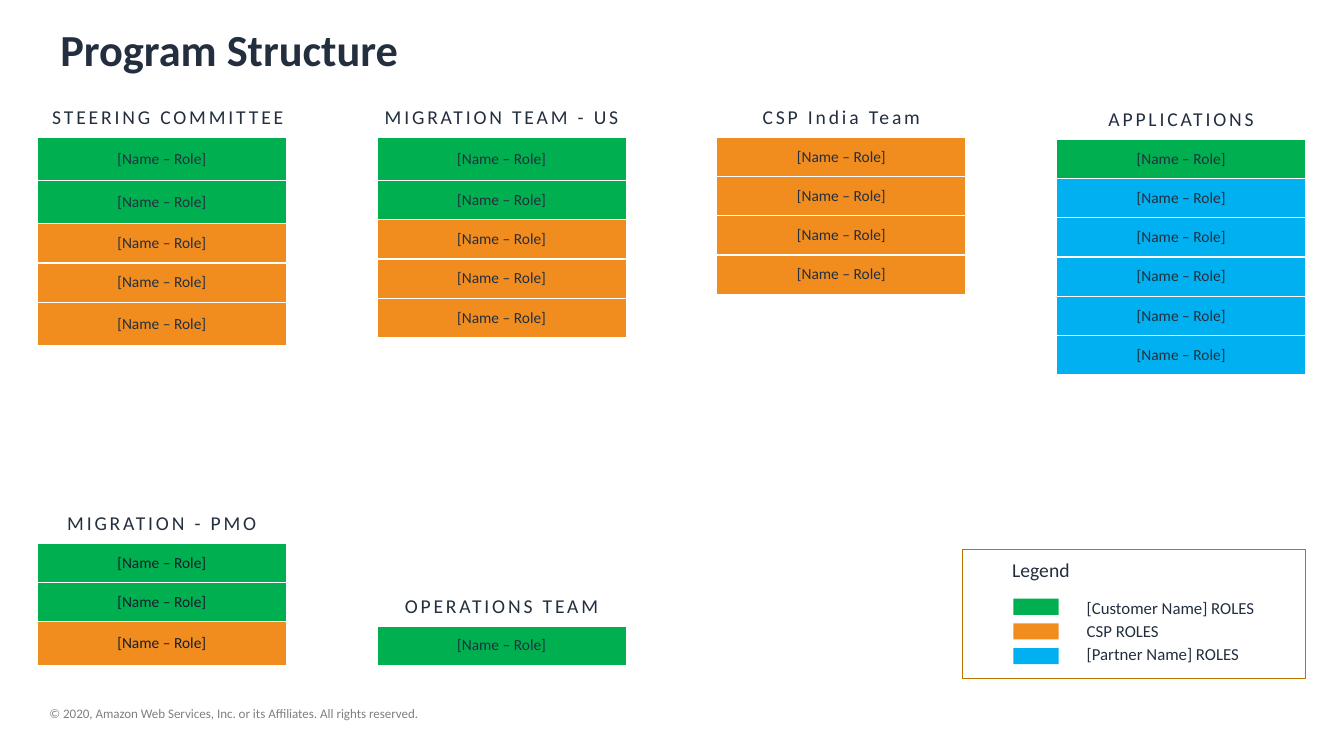
from lxml import etree
from pptx import Presentation
from pptx.dml.color import RGBColor
from pptx.enum.shapes import MSO_SHAPE
from pptx.enum.text import MSO_ANCHOR, PP_ALIGN
from pptx.oxml.ns import qn
from pptx.util import Inches, Pt

RECTANGLE = MSO_SHAPE.RECTANGLE
MIDDLE = MSO_ANCHOR.MIDDLE
LEFT, CENTER = PP_ALIGN.LEFT, PP_ALIGN.CENTER

INK = RGBColor(0x23, 0x2F, 0x3E)
DARK_INK = RGBColor(0x16, 0x1E, 0x2C)
GRAY = RGBColor(0x80, 0x80, 0x80)
GREEN = RGBColor(0x00, 0xB0, 0x50)
ORANGE = RGBColor(0xF1, 0x8C, 0x1E)
BLUE = RGBColor(0x00, 0xB0, 0xF0)
FRAME = RGBColor(0xBD, 0x71, 0x00)
FONT = "Calibri"

# Grid of team columns, in inches
SLIDE_WIDTH, SLIDE_HEIGHT = 13.33, 7.5
GRID_LEFT, COLUMN_PITCH, COLUMN_WIDTH = 0.37, 3.37, 2.47
UPPER_TOP, LOWER_BOTTOM = 1.36, 6.6
ROW, TALL_ROW = 0.39, 0.43
HEADING_RISE, HEADING_HEIGHT, HEADING_WIDTH = 0.37, 0.34, 2.58

# Heading, grid column, rows as (colour, height)
UPPER_TEAMS = [
    ("STEERING COMMITTEE", 0, [(GREEN, TALL_ROW)] * 2 + [(ORANGE, ROW)] * 2 + [(ORANGE, TALL_ROW)]),
    ("MIGRATION TEAM - US", 1, [(GREEN, TALL_ROW), (GREEN, ROW)] + [(ORANGE, ROW)] * 3),
    ("CSP India Team", 2, [(ORANGE, ROW)] * 4),
    ("APPLICATIONS", 3, [(GREEN, ROW)] + [(BLUE, ROW)] * 5),
]
LOWER_TEAMS = [
    ("MIGRATION - PMO", 0, [(GREEN, ROW)] * 2 + [(ORANGE, TALL_ROW)], DARK_INK),
    ("OPERATIONS TEAM", 1, [(GREEN, ROW)], INK),
]
LEGEND = [
    ("[Customer Name] ROLES", GREEN),
    ("CSP ROLES", ORANGE),
    ("[Partner Name] ROLES", BLUE),
]


def write_text(frame, lines, size=14, color=INK, bold=False, align=LEFT,
               spacing=0, space_after=0):
    for index, line in enumerate(lines):
        paragraph = frame.paragraphs[0] if index == 0 else frame.add_paragraph()
        paragraph.alignment = align
        paragraph.space_after = Pt(space_after)
        run = paragraph.add_run()
        run.text = line
        run.font.name = FONT
        run.font.size = Pt(size)
        run.font.bold = bold
        run.font.color.rgb = color
        if spacing:
            run._r.get_or_add_rPr().set("spc", str(spacing * 100))


def add_text(slide, lines, left, top, width, height, wrap=True, inset=None, **style):
    shape = slide.shapes.add_textbox(Inches(left), Inches(top), Inches(width), Inches(height))
    frame = shape.text_frame
    frame.word_wrap = wrap
    if inset is not None:
        frame.margin_left = frame.margin_right = Inches(inset)
        frame.margin_top = frame.margin_bottom = Inches(inset)
    write_text(frame, lines, **style)


def add_rectangle(slide, left, top, width, height, fill=None, line=None):
    shape = slide.shapes.add_shape(
        RECTANGLE, Inches(left), Inches(top), Inches(width), Inches(height))
    shape.shadow.inherit = False
    if fill is None:
        shape.fill.background()
    else:
        shape.fill.solid()
        shape.fill.fore_color.rgb = fill
    if line is None:
        shape.line.fill.background()
    else:
        shape.line.color.rgb = line
        shape.line.width = Pt(0.75)


def add_white_borders(cell):
    properties = cell._tc.get_or_add_tcPr()
    for index, side in enumerate(("a:lnL", "a:lnR", "a:lnT", "a:lnB")):
        border = etree.Element(qn(side), w=str(Pt(1)))
        fill = etree.SubElement(border, qn("a:solidFill"))
        etree.SubElement(fill, qn("a:srgbClr"), val="FFFFFF")
        properties.insert(index, border)


def add_team(slide, heading, left, top, rows, color=INK, heading_shift=0):
    """Team heading centred above a one-column table of roles."""
    heading_left = left + (COLUMN_WIDTH - HEADING_WIDTH) / 2 + heading_shift
    add_text(slide, [heading], heading_left, top - HEADING_RISE, HEADING_WIDTH,
             HEADING_HEIGHT, align=CENTER, spacing=2)
    height = sum(row_height for _, row_height in rows)
    table = slide.shapes.add_table(
        len(rows), 1, Inches(left), Inches(top), Inches(COLUMN_WIDTH), Inches(height)).table
    table.first_row = table.horz_banding = False
    for index, (fill, row_height) in enumerate(rows):
        table.rows[index].height = Inches(row_height)
        cell = table.cell(index, 0)
        cell.fill.solid()
        cell.fill.fore_color.rgb = fill
        cell.vertical_anchor = MIDDLE
        cell.margin_left = cell.margin_right = Inches(0.08)
        cell.margin_top = cell.margin_bottom = Inches(0.04)
        write_text(cell.text_frame, ["[Name – Role]"], size=11, color=color, align=CENTER)
        add_white_borders(cell)


def add_legend(slide, left, top, width, height):
    add_rectangle(slide, left, top, width, height, line=FRAME)
    add_text(slide, ["Legend"], left + 0.39, top + 0.04, 0.78, 0.34, wrap=False)
    for index, (_, color) in enumerate(LEGEND):
        add_rectangle(slide, left + 0.5, top + 0.49 + index * 0.245, 0.45, 0.16, fill=color)
    add_text(slide, [label for label, _ in LEGEND], left + 1.13, top + 0.43, 2.19, 0.76,
             size=12, space_after=2)


def add_teams(slide):
    for heading, column, rows in UPPER_TEAMS:
        last = column == len(UPPER_TEAMS) - 1
        add_team(slide, heading, GRID_LEFT + column * COLUMN_PITCH,
                 UPPER_TOP + (0.02 if last else 0), rows,
                 heading_shift=0.06 if column == 0 else 0)
    for heading, column, rows, color in LOWER_TEAMS:
        top = LOWER_BOTTOM - sum(row_height for _, row_height in rows)
        add_team(slide, heading, GRID_LEFT + column * COLUMN_PITCH, top, rows, color=color)


def main():
    presentation = Presentation()
    presentation.slide_width = Inches(SLIDE_WIDTH)
    presentation.slide_height = Inches(SLIDE_HEIGHT)
    slide = presentation.slides.add_slide(presentation.slide_layouts[6])

    # Title and copyright line
    add_text(slide, ["Program Structure"], 0.5, 0.17, 12.31, 0.8, size=31.7, bold=True)
    add_text(slide, ["© 2020, Amazon Web Services, Inc. or its Affiliates. All rights reserved."],
             0.49, 7, 6.48, 0.16, inset=0, size=9.3, color=GRAY)

    # Teams and colour key
    add_teams(slide)
    add_legend(slide, 9.55, 5.45, 3.4, 1.28)
    presentation.save("out.pptx")


if __name__ == "__main__":
    main()
